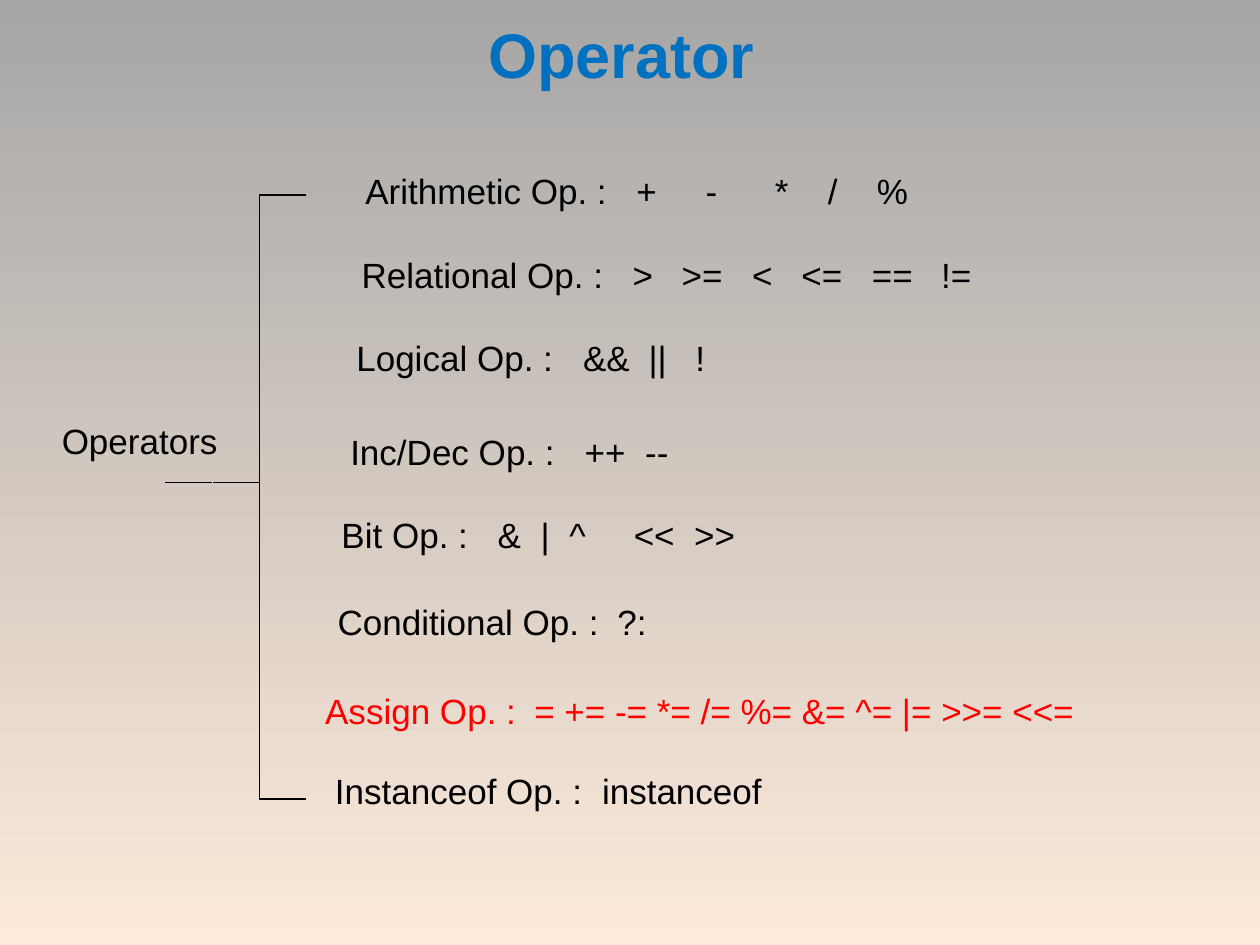
from lxml import etree
from pptx import Presentation
from pptx.dml.color import RGBColor
from pptx.enum.shapes import MSO_CONNECTOR
from pptx.enum.text import MSO_ANCHOR, MSO_AUTO_SIZE, PP_ALIGN
from pptx.oxml.ns import qn
from pptx.util import Inches, Pt

STRAIGHT = MSO_CONNECTOR.STRAIGHT
TOP, MIDDLE = MSO_ANCHOR.TOP, MSO_ANCHOR.MIDDLE
CENTER, LEFT = PP_ALIGN.CENTER, PP_ALIGN.LEFT
FIXED = MSO_AUTO_SIZE.NONE

COLORS = {
    "top": "A6A6A6",
    "bottom": "FDEADA",
    "title": "0070C0",
    "text": "000000",
    "accent": "FF0000",
}
FONT = "Arial"
ROW_HEIGHT = 0.44
BRACKET = {"left": 2.06, "right": 2.43, "top": 1.55, "bottom": 6.34}
STEM_Y = 3.83
STEM_PARTS = [(1.31, 1.68), (1.69, 2.06)]

ROWS = [
    (2.72, 1.29, 5.66, 2.9, ["Arithmetic Op. :", "+", "-", "*", "/", "%"],
     [2.15, 2.7, 3.25, 3.67, 4.06], "text"),
    (2.63, 1.96, 5.19, 2.87, ["Relational Op. :", ">", ">=", "<", "<=", "==", "!="],
     [2.15, 2.54, 3.1, 3.49, 4.05, 4.6], "text"),
    (2.73, 2.62, 2.97, 2.83, ["Logical Op. :", "&&", "||", "!"],
     [1.8, 2.32, 2.69], "text"),
    (2.68, 3.36, 2.72, 2.78, ["Inc/Dec Op. :", "++", "--"], [1.86, 2.34], "text"),
    (2.57, 4.02, 3.83, 2.71, ["Bit Op. :", "&", "|", "^", "<<", ">>"],
     [1.24, 1.58, 1.81, 2.32, 2.8], "text"),
    (0.39, 3.28, 1.51, 0.49, ["Operators"], [], "text"),
    (2.31, 4.71, 3.02, 2.68, ["Conditional Op. :", "?:"], [2.22], "text"),
    (2.19, 5.42, 6.88, 2.58, ["Assign Op. :", "= += -= *= /= %= &= ^= |= >>= <<="],
     [1.66], "accent"),
    (2.56, 6.05, 3.74, 2.66, ["Instanceof Op. :", "instanceof"], [2.12], "text"),
]


def color(name):
    return RGBColor.from_string(COLORS[name])


def set_font(para, size, color_name, bold=False):
    para.font.name = FONT
    para.font.size = Pt(size)
    para.font.bold = bold
    para.font.color.rgb = color(color_name)


def set_tabs(para, stops):
    tabs = etree.SubElement(para._p.get_or_add_pPr(), qn("a:tabLst"))
    for stop in stops:
        etree.SubElement(tabs, qn("a:tab"), pos=str(Inches(stop)), algn="l")


def paint_background(page):
    fill = page.background.fill
    fill.gradient()
    fill.gradient_angle = 270
    for stop, name, position in zip(fill.gradient_stops, ("top", "bottom"), (0, 1)):
        stop.color.rgb = color(name)
        stop.position = position


def add_title(page, text):
    title = page.shapes.title
    title.left, title.top = Inches(0.5), Inches(0.07)
    title.width, title.height = Inches(9), Inches(0.95)
    frame = title.text_frame
    frame.auto_size = FIXED
    frame.vertical_anchor = TOP
    frame.margin_top = Inches(0.05)
    frame.text = text
    para = frame.paragraphs[0]
    para.alignment = CENTER
    set_font(para, 36, "title", bold=True)


def add_row(page, left, top, width, start, parts, stops, color_name):
    box = page.shapes.add_textbox(
        Inches(left), Inches(top), Inches(width), Inches(ROW_HEIGHT))
    frame = box.text_frame
    frame.word_wrap = True
    frame.vertical_anchor = MIDDLE
    frame.margin_left = Inches(start - left)
    frame.margin_right = 0
    para = frame.paragraphs[0]
    para.alignment = LEFT
    para.add_run().text = "\t".join(parts)
    if stops:
        set_tabs(para, stops)
    set_font(para, 20, color_name)


def style_line(shape):
    shape.line.color.rgb = color("text")
    shape.line.width = Pt(1)


def add_bracket(page, left, right, top, bottom):
    corners = [(right, top), (left, top), (left, bottom), (right, bottom)]
    first, *others = [(Inches(x), Inches(y)) for x, y in corners]
    builder = page.shapes.build_freeform(*first)
    builder.add_line_segments(others, close=False)
    bracket = builder.convert_to_shape()
    bracket.shadow.inherit = False
    bracket.fill.background()
    style_line(bracket)


def add_stem(page, start, end):
    stem = page.shapes.add_connector(
        STRAIGHT, Inches(start), Inches(STEM_Y), Inches(end), Inches(STEM_Y))
    style_line(stem)
    etree.SubElement(stem._element.spPr, qn("a:effectLst"))


def main():
    deck = Presentation()
    deck.slide_width, deck.slide_height = Inches(10), Inches(7.5)
    page = deck.slides.add_slide(deck.slide_layouts[5])
    paint_background(page)
    add_title(page, "Operator ")
    for row in ROWS:
        add_row(page, *row)
    add_bracket(page, **BRACKET)
    for start, end in STEM_PARTS:
        add_stem(page, start, end)
    deck.save("out.pptx")


if __name__ == "__main__":
    main()
